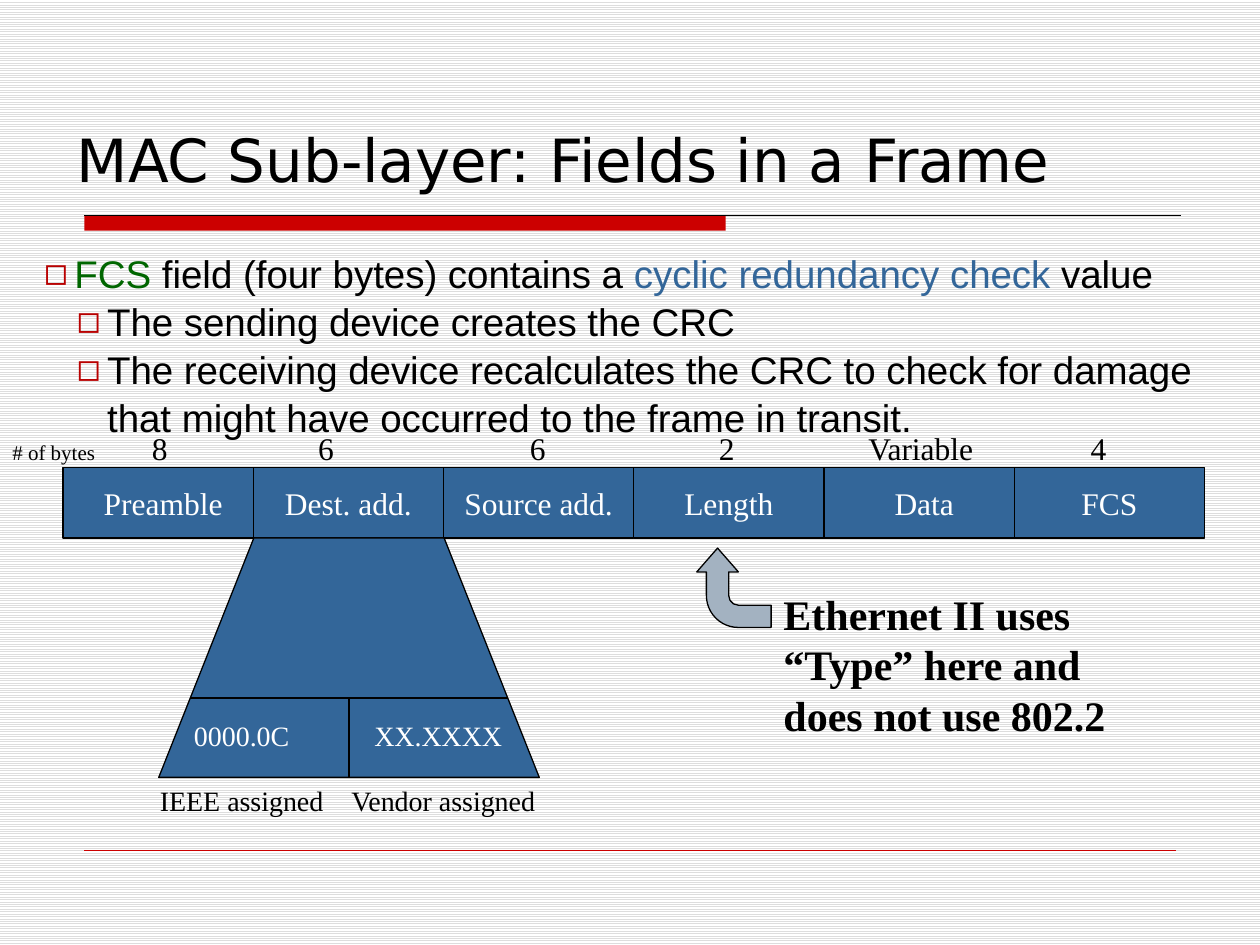
from dataclasses import dataclass

from lxml import etree
from pptx import Presentation
from pptx.dml.color import RGBColor
from pptx.enum import dml, shapes, text
from pptx.oxml import ns
from pptx.util import Inches, Pt


@dataclass(frozen=True)
class Theme:
    black: str = "000000"
    white: str = "FFFFFF"
    stripe: str = "DDDDDD"
    red: str = "CC0000"
    bullet: str = "B90000"
    green: str = "006600"
    blue: str = "336699"
    arrow: str = "A3B2C1"
    title_font: str = "DejaVu Sans"
    body_font: str = "Arial"
    diagram_font: str = "Times New Roman"
    title_size: int = 34
    body_size: int = 22
    note_size: int = 24
    field_size: int = 18
    address_size: int = 16
    unit_size: int = 12


THEME = Theme()


def rgb(color):
    return RGBColor.from_string(color)


def place(shape, box):
    shape.left, shape.top, shape.width, shape.height = map(Inches, box)


def style_font(font, name, size, color, bold=None):
    font.name, font.size, font.bold = name, Pt(size), bold
    font.color.rgb = rgb(color)


def add_filled(slide, kind, box, fill, outline=THEME.black):
    shape = slide.shapes.add_shape(kind, *map(Inches, box))
    shape.shadow.inherit = False
    shape.fill.solid()
    shape.fill.fore_color.rgb = rgb(fill)
    if outline:
        shape.line.color.rgb = rgb(outline)
        shape.line.width = Pt(0.75)
    else:
        shape.line.fill.background()
    return shape


def add_line(slide, start, end, color=THEME.black, width=0.75):
    line = slide.shapes.add_connector(
        shapes.MSO_CONNECTOR.STRAIGHT, *map(Inches, (*start, *end)))
    line.line.color.rgb = rgb(color)
    line.line.width = Pt(width)
    etree.SubElement(line._element.spPr, ns.qn("a:effectLst"))
    return line


def add_text(slide, box, wording, size, color=THEME.black, bold=None):
    shape = slide.shapes.add_textbox(*map(Inches, box))
    shape.text_frame.word_wrap = True
    paragraph = shape.text_frame.paragraphs[0]
    paragraph.add_run().text = wording
    style_font(paragraph.font, THEME.diagram_font, size, color, bold)
    return paragraph


def add_centred_columns(slide, box, labels, centres, size,
                        color=THEME.black, lead=""):
    paragraph = add_text(slide, box, lead, size, color)
    paragraph.runs[0].font.size = Pt(THEME.unit_size)
    paragraph.add_run().text = "".join("\t" + label for label in labels)
    tabs = etree.Element(ns.qn("a:tabLst"))
    for centre in centres:
        position = Inches(centre - box[0] - 0.1)
        etree.SubElement(tabs, ns.qn("a:tab"), pos=str(position), algn="ctr")
    paragraph._p.get_or_add_pPr().insert(0, tabs)


def set_bullet(paragraph, margin, hanging):
    properties = paragraph._p.get_or_add_pPr()
    properties.set("marL", str(Inches(margin)))
    properties.set("indent", str(-Inches(hanging)))
    color = etree.Element(ns.qn("a:buClr"))
    etree.SubElement(color, ns.qn("a:srgbClr"), val=THEME.bullet)
    bullet = etree.Element(ns.qn("a:buChar"), char="◻")
    default = properties.find(ns.qn("a:defRPr"))
    default.addprevious(color)
    default.addprevious(bullet)


def build_title(slide, box):
    title = slide.shapes.title
    place(title, box)
    frame = title.text_frame
    frame.text = "MAC Sub-layer: Fields in a Frame"
    frame.auto_size = text.MSO_AUTO_SIZE.NONE
    frame.vertical_anchor = text.MSO_ANCHOR.BOTTOM
    paragraph = frame.paragraphs[0]
    paragraph.alignment = text.PP_ALIGN.LEFT
    style_font(paragraph.font, THEME.title_font, THEME.title_size, THEME.black)


def build_rules(slide, box):
    left, top, width, height = box
    add_filled(slide, shapes.MSO_SHAPE.RECTANGLE, (left, top, 5.09, 0.12),
               THEME.red, None)
    add_line(slide, (left, top), (left + width, top))
    bottom = top + height
    add_line(slide, (left, bottom), (left + width - 0.04, bottom),
             THEME.red, 0.25)


def build_list(slide, box):
    body = slide.placeholders[1]
    place(body, box)
    frame = body.text_frame
    frame.auto_size = text.MSO_AUTO_SIZE.NONE
    items = [
        (0, [("FCS ", THEME.green),
             ("field (four bytes) contains a ", THEME.black),
             ("cyclic redundancy check", THEME.blue),
             (" value", THEME.black)]),
        (1, [("The sending device creates the CRC", THEME.black)]),
        (1, [("The receiving device recalculates the CRC to check for damage "
              "that might have occurred to the frame in transit.",
              THEME.black)]),
    ]
    for index, (level, runs) in enumerate(items):
        paragraph = frame.add_paragraph() if index else frame.paragraphs[0]
        paragraph.level = level
        paragraph.space_before = Pt(0)
        paragraph.line_spacing = 1.04
        style_font(paragraph.font, THEME.body_font, THEME.body_size,
                   THEME.black)
        set_bullet(paragraph, 0.5 if level else 0.24, 0.24)
        for wording, color in runs:
            run = paragraph.add_run()
            run.text = wording
            run.font.color.rgb = rgb(color)


def build_frame_fields(slide, box):
    left, top, width, height = box
    fields = [("Preamble", "8", 0.08, 1.27), ("Dest. add.", "6", 0, 2.59),
              ("Source add.", "6", 0, 4.27), ("Length", "2", 0, 5.77),
              ("Data", "Variable", 0.08, 7.31), ("FCS", "4", 0, 8.72)]
    pitch = width / len(fields)
    for index, (name, _, overlap, _) in enumerate(fields):
        cell = (left + index * pitch, top, pitch + overlap, height)
        shape = add_filled(slide, shapes.MSO_SHAPE.RECTANGLE, cell, THEME.blue)
        frame = shape.text_frame
        frame.word_wrap = False
        frame.text = name
        paragraph = frame.paragraphs[0]
        paragraph.alignment = text.PP_ALIGN.CENTER
        style_font(paragraph.font, THEME.diagram_font, THEME.field_size,
                   THEME.white)
    add_centred_columns(slide, (0, top - 0.35, 9.73, 0.4),
                        [field[1] for field in fields],
                        [field[3] for field in fields],
                        THEME.field_size, lead="# of bytes")


def build_address_detail(slide, box):
    left, top, width, height = box
    middle, bottom = left + width / 2, top + height
    split = top + 1.27
    trapezoid = add_filled(slide, shapes.MSO_SHAPE.TRAPEZOID, box, THEME.blue)
    trapezoid.adjustments[0] = width / 4 / height
    add_line(slide, (left + 0.25, split), (left + width - 0.25, split))
    divider = add_line(slide, (middle, split), (middle, bottom))
    divider.end_connect(trapezoid, 2)
    centres = (middle - 0.85, middle + 0.71)
    add_centred_columns(slide, (left, split + 0.11, width, 0.37),
                        ["0000.0C", "XX.XXXX"], centres,
                        THEME.address_size, THEME.white)
    add_centred_columns(slide, (left - 0.09, bottom, 3.44, 0.37),
                        ["IEEE assigned", "Vendor assigned"],
                        (middle - 0.85, middle + 0.75), THEME.address_size)


def build_type_note(slide, box):
    left, top, width, height = box
    arrow = add_filled(slide, shapes.MSO_SHAPE.BENT_ARROW,
                       (left, top, 0.63, 0.59), THEME.arrow)
    arrow.rotation = 270
    for index, value in enumerate((0.3, 0.28, 0.32, 0.43)):
        arrow.adjustments[index] = value
    add_text(slide, (left + 0.61, top + 0.25, width - 0.61, height - 0.25),
             "Ethernet II uses “Type” here and does not use 802.2",
             THEME.note_size, bold=True)


def main():
    presentation = Presentation()
    presentation.slide_width, presentation.slide_height = Inches(10), Inches(7.5)
    slide = presentation.slides.add_slide(presentation.slide_layouts[1])
    background = slide.background.fill
    background.patterned()
    background.pattern = dml.MSO_PATTERN.LIGHT_HORIZONTAL
    background.fore_color.rgb = rgb(THEME.stripe)
    background.back_color.rgb = rgb(THEME.white)
    build_rules(slide, (0.67, 1.71, 8.7, 5.04))
    build_title(slide, (0.51, 0.84, 8.39, 0.75))
    build_list(slide, (0.25, 1.92, 9.75, 1.58))
    build_frame_fields(slide, (0.5, 3.71, 9.06, 0.56))
    build_type_note(slide, (5.51, 4.37, 3.54, 1.55))
    build_address_detail(slide, (1.26, 4.27, 3.02, 1.9))
    presentation.save("out.pptx")


if __name__ == "__main__":
    main()
